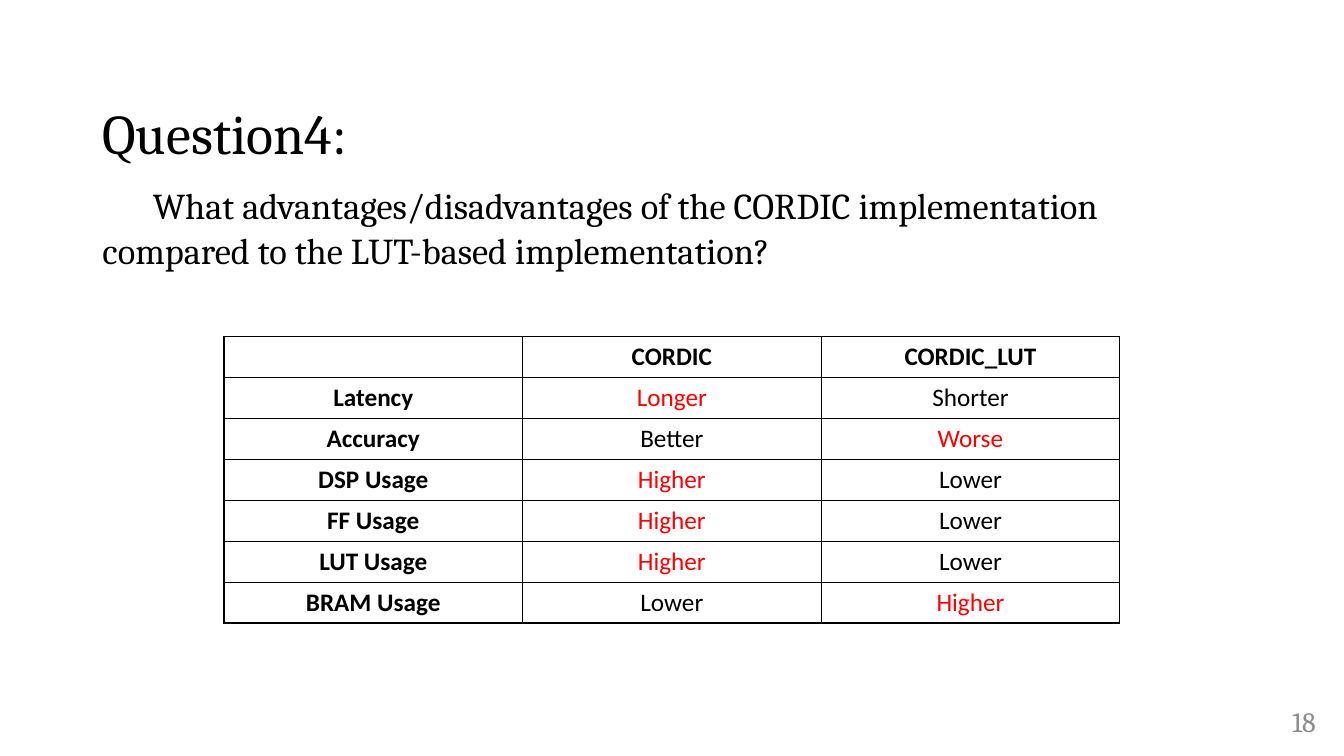
from lxml.etree import SubElement
from pptx import Presentation
from pptx.dml.color import RGBColor
from pptx.enum.text import MSO_ANCHOR, MSO_AUTO_SIZE, PP_ALIGN
from pptx.oxml.ns import qn
from pptx.util import Pt

BLACK, RED, GREY = "000000", "FF0000", "8C8C8C"
HEADINGS = ["", "CORDIC", "CORDIC_LUT"]
COMPARISON = [
    ("Latency", "Longer", "Shorter"),
    ("Accuracy", "Better", "Worse"),
    ("DSP Usage", "Higher", "Lower"),
    ("FF Usage", "Higher", "Lower"),
    ("LUT Usage", "Higher", "Lower"),
    ("BRAM Usage", "Lower", "Higher"),
]
DRAWBACKS = {"Longer", "Worse", "Higher"}
QUESTION = ("What advantages/disadvantages of the CORDIC implementation "
            "compared to the LUT-based implementation?")


def colour(value):
    return RGBColor.from_string(value)


def apply(target, values):
    for name, value in values.items():
        setattr(target, name, value)


class SlideBuilder:
    """Holds the fonts and the current slide, and adds each kind of element."""

    heading_font = "Cambria"
    table_font = "Calibri"

    def __init__(self, page):
        self.page = page

    def place(self, box, left, top, width, height):
        apply(box, {"left": Pt(left), "top": Pt(top),
                    "width": Pt(width), "height": Pt(height)})
        apply(box.text_frame, {"word_wrap": True, "auto_size": MSO_AUTO_SIZE.NONE,
                               "vertical_anchor": MSO_ANCHOR.MIDDLE})
        return box.text_frame.paragraphs[0]

    def span(self, para, text, size, font, color=BLACK, bold=False):
        span = para.add_run()
        span.text = text
        apply(span.font, {"name": font, "size": Pt(size), "bold": bold})
        span.font.color.rgb = colour(color)

    def title(self, heading, question, bounds):
        para = self.place(self.page.shapes.title, *bounds)
        apply(para, {"alignment": PP_ALIGN.LEFT, "line_spacing": 0.9})
        self.span(para, heading + "\t", 40, self.heading_font)
        para.add_line_break()
        SubElement(para._p[-1], qn("a:rPr"), sz="4000")
        self.span(para, "\t", 44, self.heading_font)
        self.span(para, question, 26, self.heading_font)

    def page_number(self, number, bounds):
        para = self.place(self.page.shapes.add_textbox(0, 0, 0, 0), *bounds)
        para.alignment = PP_ALIGN.RIGHT
        self.span(para, number, 20, self.heading_font, GREY)

    def borders(self, cell):
        properties = cell._tc.get_or_add_tcPr()
        for side in ("a:lnL", "a:lnR", "a:lnT", "a:lnB"):
            line = SubElement(properties, qn(side), w=str(Pt(1)))
            fill = SubElement(line, qn("a:solidFill"))
            SubElement(fill, qn("a:srgbClr"), val=BLACK)

    def table(self, rows, left, top, column_width, row_height):
        columns = len(rows[0])
        table = self.page.shapes.add_table(
            len(rows), columns, Pt(left), Pt(top),
            Pt(column_width * columns), Pt(row_height * len(rows))).table
        apply(table, {"first_row": False, "horz_banding": False})
        for row_index, row in enumerate(rows):
            for column_index, text in enumerate(row):
                cell = table.cell(row_index, column_index)
                self.borders(cell)
                cell.fill.background()
                para = cell.text_frame.paragraphs[0]
                para.alignment = PP_ALIGN.CENTER
                if text:
                    self.span(para, text, 18, self.table_font,
                              RED if text in DRAWBACKS else BLACK,
                              row_index == 0 or column_index == 0)


def main():
    deck = Presentation()
    apply(deck, {"slide_width": Pt(960), "slide_height": Pt(540)})
    builder = SlideBuilder(deck.slides.add_slide(deck.slide_layouts[5]))
    builder.title("Question4:", QUESTION, (66, 28.75, 828, 212.4))
    builder.page_number("18", (731, 500.5, 216, 28.8))
    builder.table([HEADINGS, *COMPARISON], 160, 240.6, 213.3, 29.2)
    deck.save("out.pptx")


if __name__ == "__main__":
    main()
